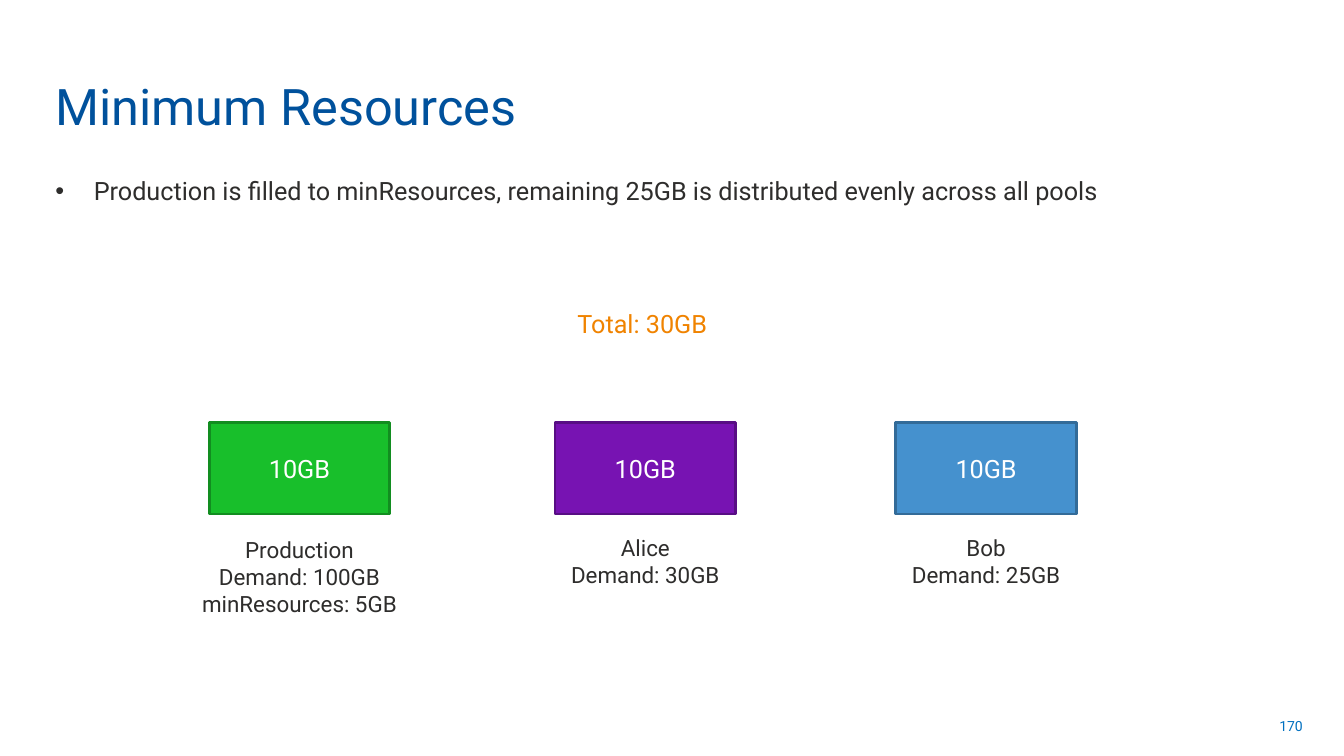
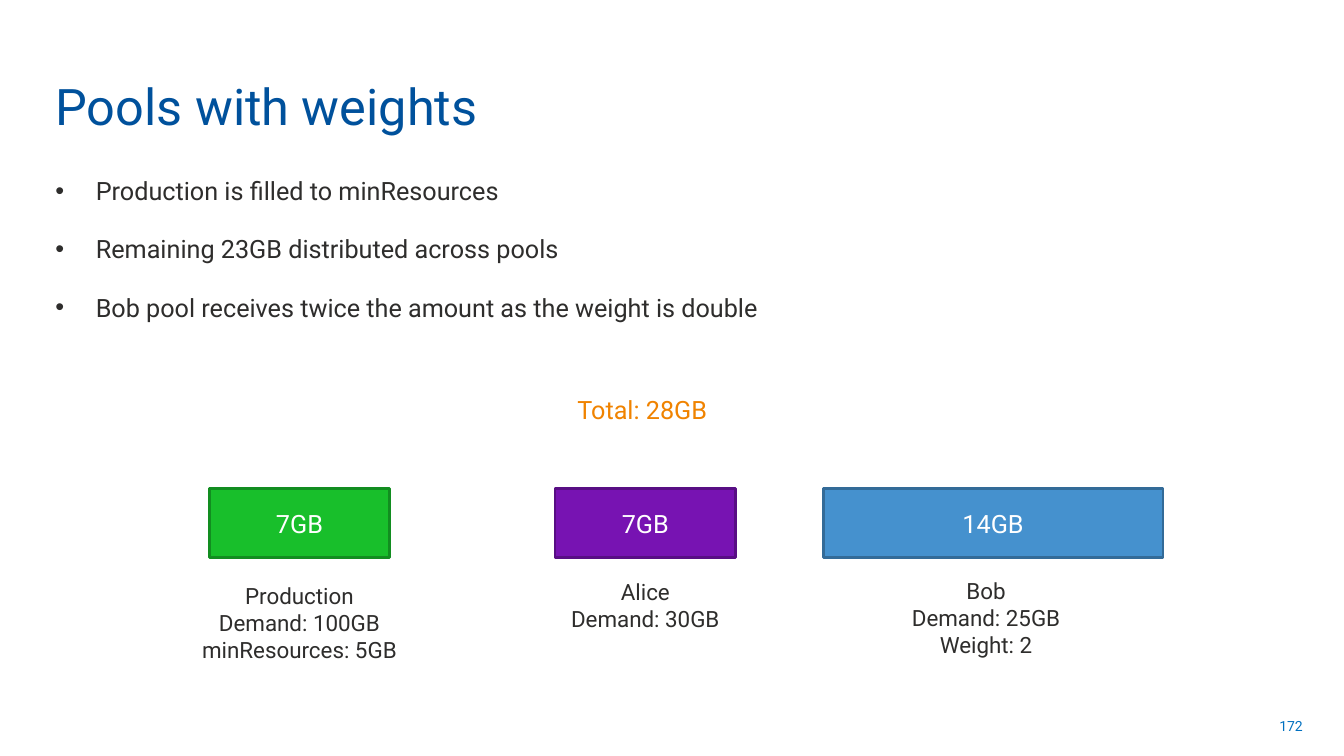
from pptx import Presentation
from pptx.dml.color import RGBColor
from pptx.enum.shapes import MSO_SHAPE
from pptx.enum.text import MSO_ANCHOR, MSO_AUTO_SIZE, PP_ALIGN
from pptx.util import Inches, Pt

COLORS = {
    "title": "00519C", "text": "2E2D2C", "page": "0070C0",
    "total": "F08300", "white": "FFFFFF",
    "green": "18BF2B", "green_edge": "128D20",
    "purple": "7713B2", "purple_edge": "580E84",
    "blue": "4591CE", "blue_edge": "336B98",
}
FONT = "Roboto"
SLIM = (0.1, 0.05)
WIDE = (0.13, 0.06)
UNIT = 1.79  # width of a box of single weight
CAP_W = 3.52

# Pool columns: name, colour, centre of the column
POOLS = [("Production", "green", 2.97), ("Alice", "purple", 6.4),
         ("Bob", "blue", 9.78)]

SLIDES = [
    {
        "title": "Minimum Resources", "page": "170",
        "points": ["Production is filled to minResources, remaining 25GB "
                   "is distributed evenly across all pools"],
        "body_h": 1.11, "indent": 0.38,
        "total": "Total: 30GB", "total_y": 3, "box_y": 4.19, "box_h": 0.91,
        # Share, box width, box shift, caption top, caption lines
        "pools": [
            ("10GB", UNIT, 0, 5.26, ["Demand: 100GB", "minResources: 5GB"]),
            ("10GB", UNIT, 0, 5.24, ["Demand: 30GB"]),
            ("10GB", UNIT, 0, 5.24, ["Demand: 25GB"]),
        ],
    },
    {
        "title": "Pools with weights", "page": "172",
        "points": ["Production is filled to minResources",
                   "Remaining 23GB distributed across pools",
                   "Bob pool receives twice the amount as the weight is double"],
        "body_h": 1.69, "indent": 0.4,
        "total": "Total: 28GB", "total_y": 3.85, "box_y": 4.85, "box_h": 0.68,
        "pools": [
            ("7GB", UNIT, 0, 5.72, ["Demand: 100GB", "minResources: 5GB"]),
            ("7GB", UNIT, 0, 5.68, ["Demand: 30GB"]),
            ("14GB", 3.37, 0.07, 5.67, ["Demand: 25GB", "Weight: 2"]),
        ],
    },
]


def color(name):
    return RGBColor.from_string(COLORS[name])


def place(shape, box):
    for name, size in zip(("left", "top", "width", "height"), box):
        setattr(shape, name, Inches(size))


def write(shape, lines, size, tint, align=PP_ALIGN.LEFT,
          anchor=MSO_ANCHOR.TOP, inset=SLIM, gap=0, indent=0):
    """Fill a shape with evenly styled paragraphs."""
    frame = shape.text_frame
    side, edge = map(Inches, inset)
    form = {"word_wrap": True, "auto_size": MSO_AUTO_SIZE.NONE,
            "vertical_anchor": anchor, "margin_left": side,
            "margin_right": side, "margin_top": edge, "margin_bottom": edge}
    for name, value in form.items():
        setattr(frame, name, value)
    for i, line in enumerate(lines):
        para = frame.paragraphs[0] if i == 0 else frame.add_paragraph()
        para.text = line
        if indent:
            props = para._p.get_or_add_pPr()
            props.set("marL", str(Inches(indent)))
            props.set("indent", str(-Inches(indent)))
        style = {"alignment": align, "space_before": Pt(gap if i else 0),
                 "space_after": Pt(gap), "line_spacing": 1.0}
        for name, value in style.items():
            setattr(para, name, value)
        for name, value in {"name": FONT, "size": Pt(size)}.items():
            setattr(para.font, name, value)
        para.font.color.rgb = color(tint)


def label(slide, box, lines, size, tint, **form):
    shape = slide.shapes.add_textbox(*map(Inches, box))
    write(shape, lines, size, tint, **form)


def block(slide, box, share, tint):
    """Draw one coloured box with its share of memory."""
    shape = slide.shapes.add_shape(MSO_SHAPE.RECTANGLE, *map(Inches, box))
    shape.shadow.inherit = False
    shape.fill.solid()
    shape.fill.fore_color.rgb = color(tint)
    shape.line.color.rgb = color(tint + "_edge")
    shape.line.width = Pt(2)
    write(shape, [share], 18, "white", align=PP_ALIGN.CENTER,
          anchor=MSO_ANCHOR.MIDDLE, inset=WIDE)


def pool(slide, top, high, column, data):
    """Place a box and its caption about the centre of a column."""
    name, tint, mid = column
    share, wide, shift, cap_y, lines = data
    block(slide, (mid + shift - wide / 2, top, wide, high), share, tint)
    lines = [name, *lines]
    label(slide, (mid - CAP_W / 2, cap_y, CAP_W, 0.13 + 0.27 * len(lines)),
          lines, 16, "text", align=PP_ALIGN.CENTER, inset=WIDE)


def build(deck, data):
    slide = deck.slides.add_slide(deck.slide_layouts[1])
    # Title and list
    title, body = slide.placeholders
    place(title, (0.45, 0.14, 9.98, 1.26))
    write(title, [data["title"]], 36, "title", anchor=MSO_ANCHOR.BOTTOM)
    place(body, (0.45, 1.69, 12.47, data["body_h"]))
    write(body, data["points"], 18, "text", gap=10, indent=data["indent"])
    # Total and pools
    label(slide, (5.29, data["total_y"], 2.16, 0.43), [data["total"]], 18,
          "total", align=PP_ALIGN.CENTER, inset=WIDE)
    for column, part in zip(POOLS, data["pools"]):
        pool(slide, data["box_y"], data["box_h"], column, part)
    # Page number
    label(slide, (9.91, 7, 3.11, 0.4), [data["page"]], 10, "page",
          align=PP_ALIGN.RIGHT, anchor=MSO_ANCHOR.MIDDLE)


def main():
    deck = Presentation()
    deck.slide_width, deck.slide_height = Inches(13.33), Inches(7.5)
    for data in SLIDES:
        build(deck, data)
    deck.save("out.pptx")


if __name__ == "__main__":
    main()
